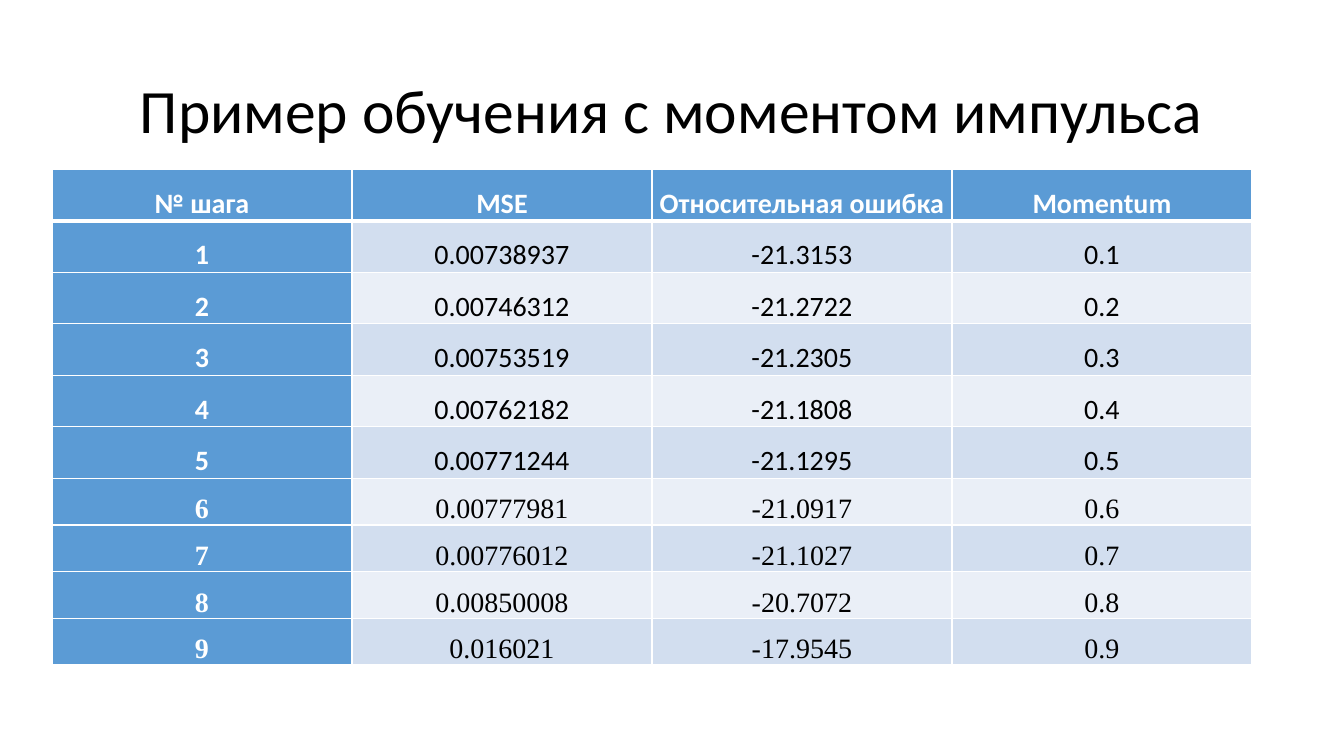
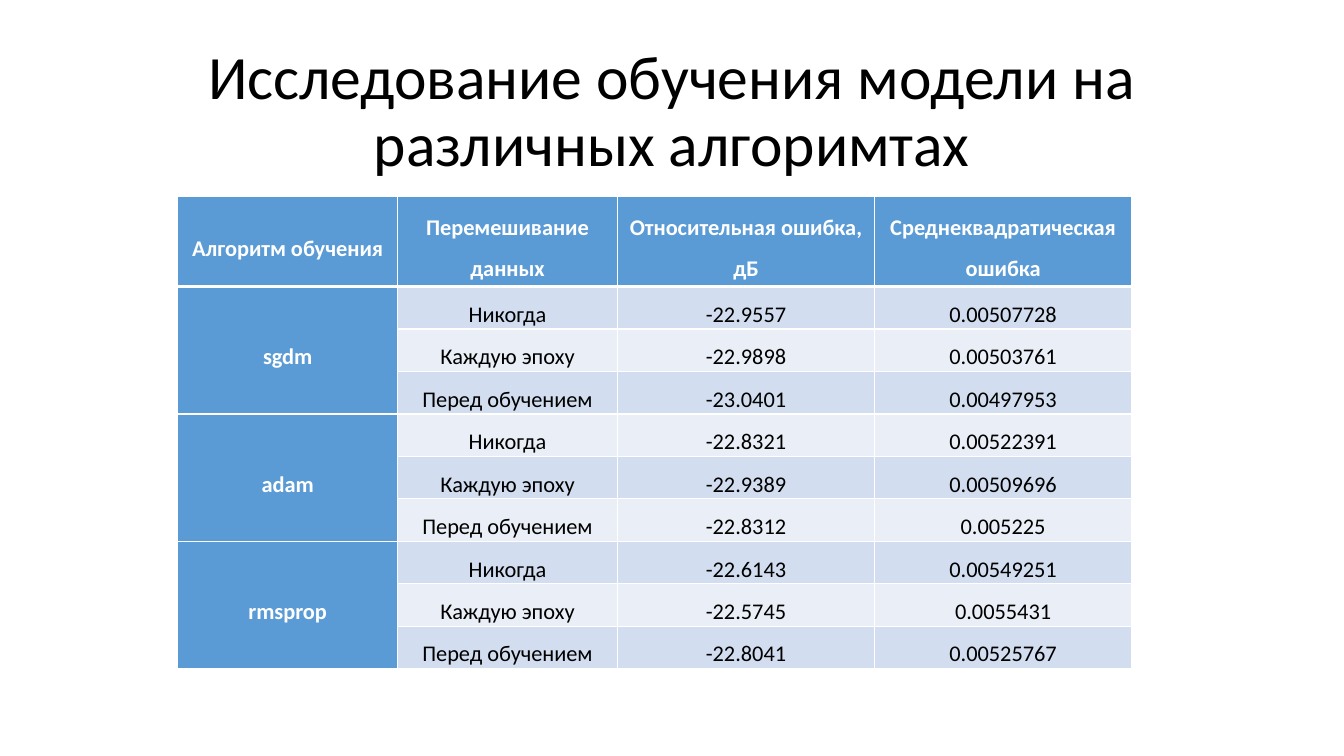
from dataclasses import dataclass

from lxml import etree
from pptx import Presentation
from pptx.dml.color import RGBColor
from pptx.enum.text import MSO_ANCHOR, MSO_AUTO_SIZE, PP_ALIGN
from pptx.oxml.ns import qn
from pptx.util import Cm, Pt

CENTER = PP_ALIGN.CENTER
MIDDLE = MSO_ANCHOR.MIDDLE
NO_AUTOFIT = MSO_AUTO_SIZE.NONE
TITLE_ONLY = 5

COLORS = {
    "text": "000000",
    "white": "FFFFFF",
    "header": "5B9BD5",
    "odd": "D2DEEF",
    "even": "EAEFF7",
}
SANS = "Calibri"
SERIF = "Times New Roman"


@dataclass(frozen=True)
class TableSlide:
    title: str
    left: float
    top: float
    col_widths: list[float]
    row_heights: list[float]
    size: int
    rows: list[tuple[str, ...]]
    row_fonts: list[str]
    group: int = 1


MOMENTUM_RESULTS = [
    ("0.00738937", "-21.3153"),
    ("0.00746312", "-21.2722"),
    ("0.00753519", "-21.2305"),
    ("0.00762182", "-21.1808"),
    ("0.00771244", "-21.1295"),
    ("0.00777981", "-21.0917"),
    ("0.00776012", "-21.1027"),
    ("0.00850008", "-20.7072"),
    ("0.016021", "-17.9545"),
]

SHUFFLE_MODES = ("Никогда", "Каждую эпоху", "Перед обучением")
ALGORITHM_RESULTS = {
    "sgdm": [("-22.9557", "0.00507728"), ("-22.9898", "0.00503761"), ("-23.0401", "0.00497953")],
    "adam": [("-22.8321", "0.00522391"), ("-22.9389", "0.00509696"), ("-22.8312", "0.005225")],
    "rmsprop": [("-22.6143", "0.00549251"), ("-22.5745", "0.0055431"), ("-22.8041", "0.00525767")],
}

SLIDES = [
    TableSlide(
        title="Пример обучения с моментом импульса",
        left=1.31,
        top=4.27,
        col_widths=[7.56] * 4,
        row_heights=[1.29] * 6 + [1.17] * 4,
        size=20,
        rows=[("№ шага", "MSE", "Относительная ошибка", "Momentum")]
        + [
            (str(step), mse, error, f"0.{step}")
            for step, (mse, error) in enumerate(MOMENTUM_RESULTS, 1)
        ],
        row_fonts=[SANS] * 6 + [SERIF] * 4,
    ),
    TableSlide(
        title="Исследование обучения модели на различных алгоримтах",
        left=4.48,
        top=4.95,
        col_widths=[5.54, 5.54, 6.48, 6.48],
        row_heights=[2.27] + [1.07] * 9,
        size=16,
        rows=[
            (
                "Алгоритм обучения",
                "Перемешивание данных",
                "Относительная ошибка, дБ",
                "Среднеквадратическая ошибка",
            )
        ]
        + [
            (name if i == 0 else "", mode, *results[i])
            for name, results in ALGORITHM_RESULTS.items()
            for i, mode in enumerate(SHUFFLE_MODES)
        ],
        row_fonts=[SANS] * 10,
        group=len(SHUFFLE_MODES),
    ),
]


def add_run(p, text: str, size: int, font: str, color: str, bold: bool = False) -> None:
    r = p.add_run()
    r.text = text
    r.font.size = Pt(size)
    r.font.name = font
    r.font.bold = bold
    r.font.color.rgb = RGBColor.from_string(COLORS[color])


def add_title(slide, text: str) -> None:
    sp = slide.shapes.title
    sp.left, sp.top, sp.width, sp.height = Cm(2.33), Cm(1.01), Cm(29.21), Cm(3.68)
    tf = sp.text_frame
    tf.auto_size = NO_AUTOFIT
    tf.word_wrap = True
    tf.vertical_anchor = MIDDLE
    p = tf.paragraphs[0]
    p.alignment = CENTER
    p.line_spacing = 0.9
    add_run(p, text, 44, SANS, "text")


def set_borders(cell, row: int) -> None:
    tc_pr = cell._tc.get_or_add_tcPr()
    widths = {
        "a:lnL": 1,
        "a:lnR": 1,
        "a:lnT": 3 if row == 1 else 1,
        "a:lnB": 3 if row == 0 else 1,
    }
    for tag, width in widths.items():
        ln = etree.SubElement(tc_pr, qn(tag), w=str(Pt(width)))
        fill = etree.SubElement(ln, qn("a:solidFill"))
        etree.SubElement(fill, qn("a:srgbClr"), val=COLORS["white"])


def format_cell(cell, text: str, row: int, col: int, size: int, font: str) -> None:
    header = row == 0 or col == 0
    set_borders(cell, row)
    fill = "header" if header else "odd" if row % 2 else "even"
    cell.fill.solid()
    cell.fill.fore_color.rgb = RGBColor.from_string(COLORS[fill])
    cell.margin_left = cell.margin_right = Cm(0.18)
    cell.margin_top = cell.margin_bottom = Cm(0)
    cell.vertical_anchor = MIDDLE
    p = cell.text_frame.paragraphs[0]
    p.alignment = CENTER
    if text:
        p.line_spacing = 1.5
        add_run(p, text, size, font, "white" if header else "text", header)


def add_results_table(slide, spec_: TableSlide) -> None:
    table = slide.shapes.add_table(
        len(spec_.rows),
        len(spec_.col_widths),
        Cm(spec_.left),
        Cm(spec_.top),
        Cm(sum(spec_.col_widths)),
        Cm(sum(spec_.row_heights)),
    ).table
    table.first_col = True
    for column, width in zip(table.columns, spec_.col_widths):
        column.width = Cm(width)
    for i, (texts, height, font) in enumerate(
        zip(spec_.rows, spec_.row_heights, spec_.row_fonts)
    ):
        table.rows[i].height = Cm(height)
        for j, text in enumerate(texts):
            format_cell(table.cell(i, j), text, i, j, spec_.size, font)
    if spec_.group > 1:
        for first in range(1, len(spec_.rows), spec_.group):
            table.cell(first, 0).merge(table.cell(first + spec_.group - 1, 0))


def main() -> None:
    prs = Presentation()
    prs.slide_width, prs.slide_height = Cm(33.87), Cm(19.05)
    for content in SLIDES:
        slide = prs.slides.add_slide(prs.slide_layouts[TITLE_ONLY])
        add_title(slide, content.title)
        add_results_table(slide, content)
    prs.save("out.pptx")


if __name__ == "__main__":
    main()
